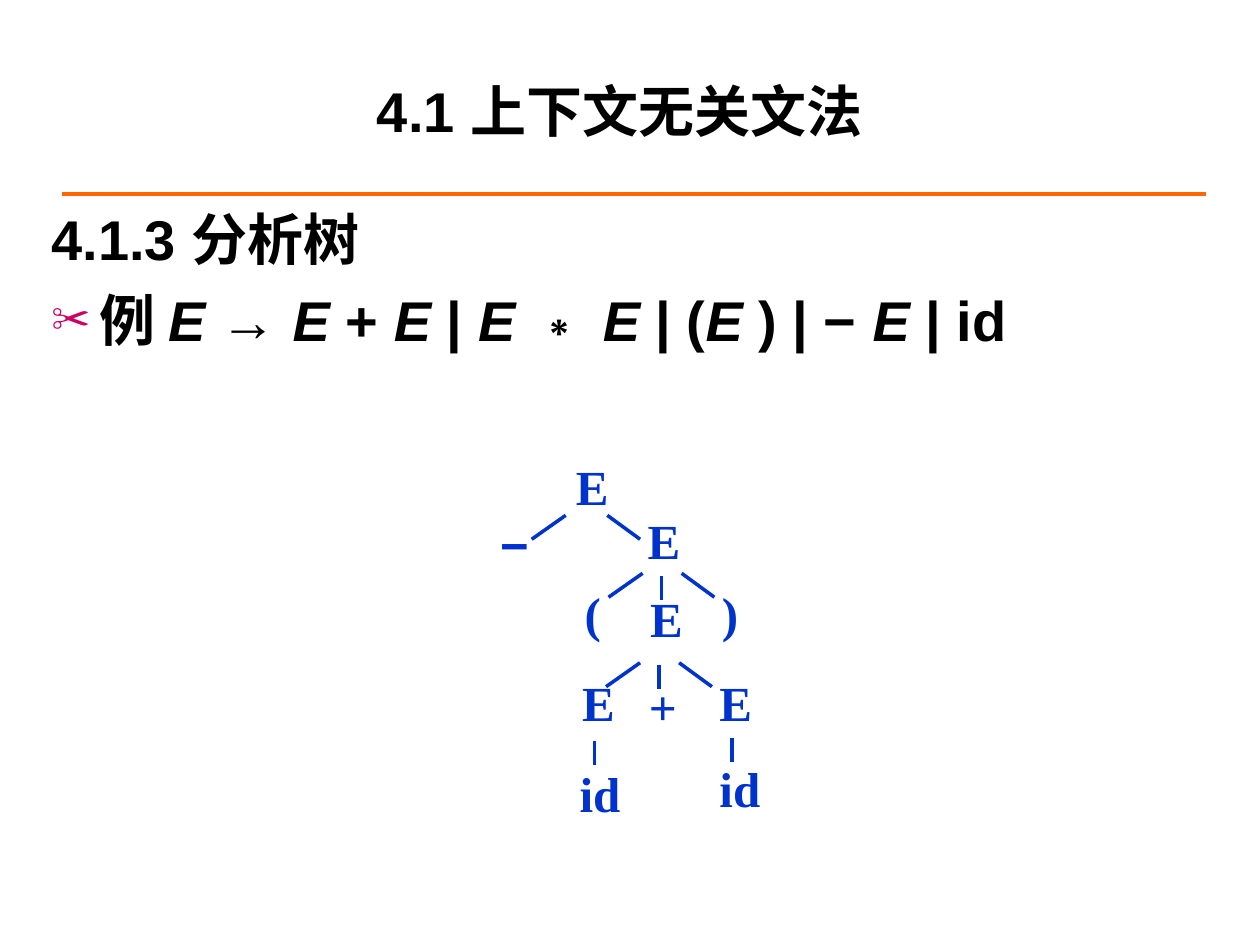
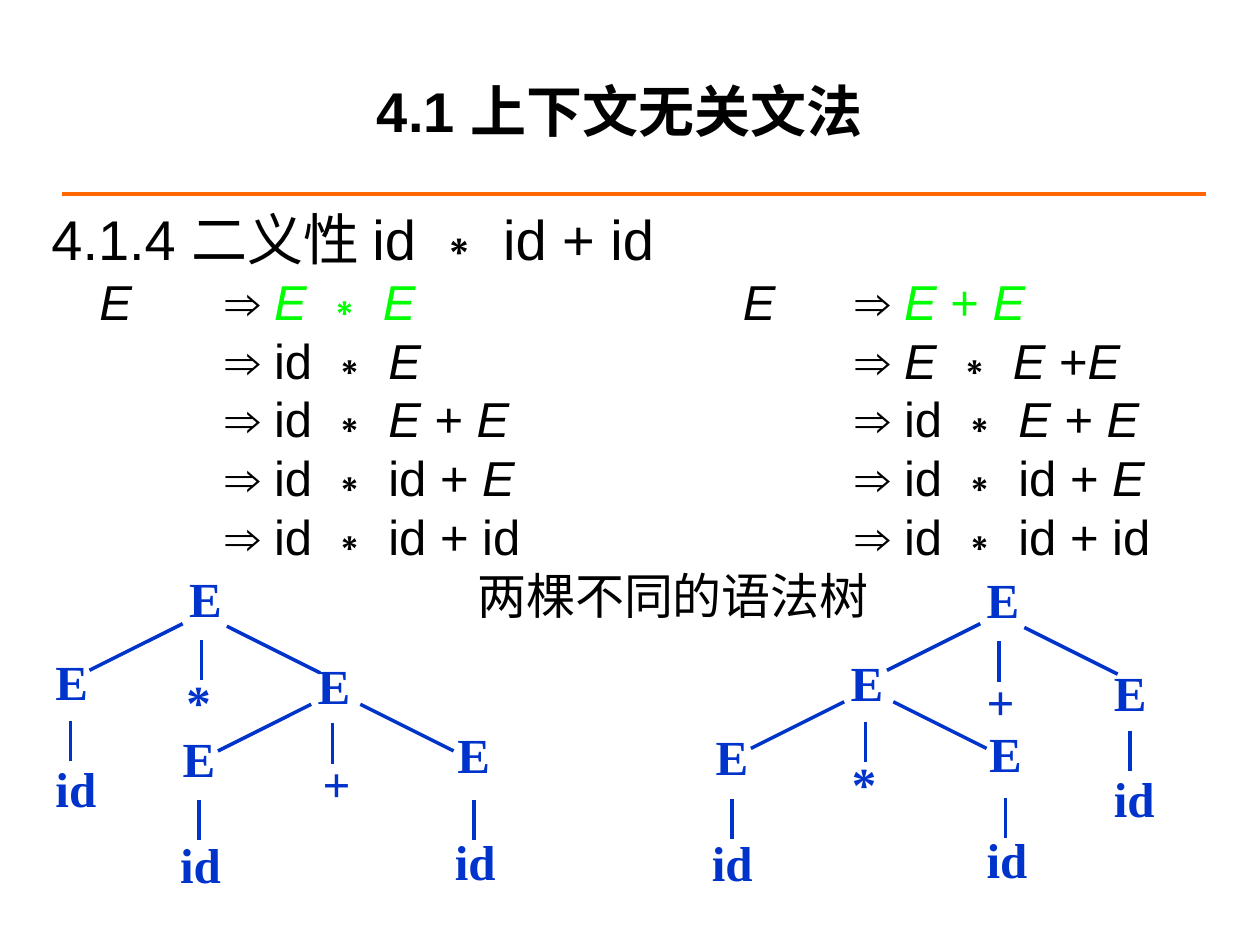
from dataclasses import dataclass
from itertools import groupby

import pptx
import pptx.util
import pptx.dml.color
import pptx.enum.shapes
import pptx.enum.text
import pptx.oxml
import pptx.oxml.ns
import lxml.etree


@dataclass(frozen=True)
class Theme:
    ink: str = "000000"
    rule: str = "FF6600"
    tree: str = "0033CC"
    bullet: str = "CC0066"
    accent: str = "00FF00"
    sans: str = "Arial"
    serif: str = "Times New Roman"
    heading: int = 32
    detail: int = 28
    rule_width: float = 2.25
    branch_width: float = 2


T = Theme()
PX = 9144
WIDTH, HEIGHT = 1000, 750
TITLE = "4.1 上下文无关文法"
TITLE_BOX = (67, 25, 850, 125)
RULE = (49, 154, 957, 154)
BODY_BOX = (31, 157, 937, 551)
HANG = 38
TAB_STEP = 100

PARSE_TREE = {
    "label_size": (40, 53),
    "labels": [
        ("E", 455, 361), ("−", 395, 407), ("E", 512, 404),
        ("(", 462, 462), ("E", 514, 466), (")", 571, 462),
        ("E", 460, 533), ("+", 513, 536), ("E", 569, 533),
        ("id", 458, 605), ("id", 569, 601),
    ],
    "branches": [
        ((-27, 19), [(449, 409), (510, 455), (508, 526)]),
        ((26, 19), [(482, 409), (541, 455), (539, 526)]),
        ((0, 19), [(525, 457), (523, 528), (472, 588), (581, 586)]),
    ],
}
PRODUCT_FIRST_TREE = {
    "label_size": (51, 55),
    "labels": [
        ("E", 148, 450), ("E", 42, 516), ("*", 146, 532), ("E", 250, 519),
        ("id", 42, 601), ("E", 143, 577), ("+", 254, 597), ("E", 361, 574),
        ("id", 141, 661), ("id", 359, 659),
    ],
    "branches": [
        ((-74, 37), [(145, 495), (247, 559)]),
        ((74, 37), [(180, 497), (286, 559)]),
        ((0, 32), [(160, 508), (56, 572), (264, 574), (158, 635), (376, 635)]),
    ],
}
SUM_FIRST_TREE = {
    "label_size": (51, 55),
    "labels": [
        ("E", 781, 451), ("E", 673, 517), ("+", 781, 532), ("E", 882, 525),
        ("E", 566, 576), ("*", 674, 597), ("E", 783, 573), ("id", 882, 609),
        ("id", 563, 660), ("id", 781, 657),
    ],
    "branches": [
        ((-74, 37), [(778, 495), (670, 557)]),
        ((74, 37), [(813, 498), (709, 557)]),
        ((0, 32), [(793, 509), (687, 573), (897, 580), (581, 634), (798, 633)]),
    ],
}

FIRST_STEP = [
    ("\tE\t⇒ ", T.ink), ("E ∗ E", T.accent),
    ("\t\t\t E\t⇒ ", T.ink), ("E + E", T.accent),
]
LATER_STEPS = [
    "\t\t⇒ id ∗ E\t\t\t\t⇒ E ∗ E +E",
    "\t\t⇒ id ∗ E + E\t\t\t⇒ id ∗ E + E",
    "\t\t⇒ id ∗ id + E\t\t\t⇒ id ∗ id + E",
    "\t\t⇒ id ∗ id + id\t\t\t⇒ id ∗ id + id",
    "\t\t\t\t两棵不同的语法树",
]

SLIDES = [
    {
        "bold": True,
        "body": [
            {"parts": [("4.1.3 分析树", T.ink)], "size": T.heading},
            {"parts": [("例 E → E + E | E ∗ E | (E ) | − E | id", T.ink)],
             "size": T.heading, "bullet": "✂", "before": 8},
        ],
        "trees": [PARSE_TREE],
    },
    {
        "bold": False,
        "body": [
            {"parts": [("4.1.4 二义性 id ∗ id + id", T.ink)], "size": T.heading},
            {"parts": FIRST_STEP, "size": T.detail},
            *({"parts": [(step, T.ink)], "size": T.detail}
              for step in LATER_STEPS),
        ],
        "trees": [PRODUCT_FIRST_TREE, SUM_FIRST_TREE],
    },
]


def px(*lengths):
    return [pptx.util.Emu(n * PX) for n in lengths]


def rgb(color):
    return pptx.dml.color.RGBColor.from_string(color)


def style(font, name, size, color, bold):
    font.name, font.size, font.bold = name, pptx.util.Pt(size), bold
    font.color.rgb = rgb(color)


def add_child(parent, tag, **attrs):
    child = lxml.etree.SubElement(parent, pptx.oxml.ns.qn(tag))
    for key, value in attrs.items():
        child.set(key, str(value))
    return child


def add_box(s, box, inset_x=10, inset_y=5):
    tf = s.shapes.add_textbox(*px(*box)).text_frame
    tf.word_wrap = True
    tf.margin_left, tf.margin_right = px(inset_x, inset_x)
    tf.margin_top, tf.margin_bottom = px(inset_y, inset_y)
    return tf


def add_line(s, ends, color, width):
    line = s.shapes.add_connector(
        pptx.enum.shapes.MSO_CONNECTOR.STRAIGHT, *px(*ends))
    line.line.color.rgb = rgb(color)
    line.line.width = pptx.util.Pt(width)
    add_child(line._element.spPr, "a:effectLst")


def add_title(s):
    tf = add_box(s, TITLE_BOX)
    tf.vertical_anchor = pptx.enum.text.MSO_ANCHOR.MIDDLE
    tf.text = TITLE
    p = tf.paragraphs[0]
    p.alignment = pptx.enum.text.PP_ALIGN.CENTER
    style(p.runs[0].font, T.sans, T.heading, T.ink, True)


def set_indent(p, bullet):
    pPr = p._p.get_or_add_pPr()
    for key, length in (("marL", HANG), ("indent", -HANG),
                        ("defTabSz", TAB_STEP)):
        pPr.set(key, str(length * PX))
    if bullet:
        add_child(add_child(pPr, "a:buClr"), "a:srgbClr", val=T.bullet)
        add_child(pPr, "a:buSzPct", val=70000)
        add_child(pPr, "a:buFont", typeface=T.sans)
        add_child(pPr, "a:buChar", char=bullet)
    else:
        add_child(pPr, "a:buNone")


def add_body(s, lines, bold):
    tf = add_box(s, BODY_BOX)
    for i, line in enumerate(lines):
        p = tf.add_paragraph() if i else tf.paragraphs[0]
        set_indent(p, line.get("bullet"))
        p.space_before = pptx.util.Pt(line.get("before", 0))
        for text, color in line["parts"]:
            for is_symbol, chars in groupby(text, lambda c: c == "E"):
                r = p.add_run()
                r.text = "".join(chars)
                style(r.font, T.sans, line["size"], color, bold)
                r.font.italic = is_symbol


def add_tree(s, tree):
    for text, x, y in tree["labels"]:
        tf = add_box(s, (x, y, *tree["label_size"]), 2, 1)
        tf.text = text
        p = tf.paragraphs[0]
        p.alignment = pptx.enum.text.PP_ALIGN.JUSTIFY
        face = T.sans if text == "−" else T.serif
        style(p.runs[0].font, face, T.detail, T.tree, True)
    for (dx, dy), starts in tree["branches"]:
        for x, y in starts:
            add_line(s, (x, y, x + dx, y + dy), T.tree, T.branch_width)


def main():
    prs = pptx.Presentation()
    prs.slide_width, prs.slide_height = px(WIDTH, HEIGHT)
    for content in SLIDES:
        s = prs.slides.add_slide(prs.slide_layouts[6])
        add_line(s, RULE, T.rule, T.rule_width)
        add_title(s)
        add_body(s, content["body"], content["bold"])
        for tree in content["trees"]:
            add_tree(s, tree)
    prs.save("out.pptx")


if __name__ == "__main__":
    main()
